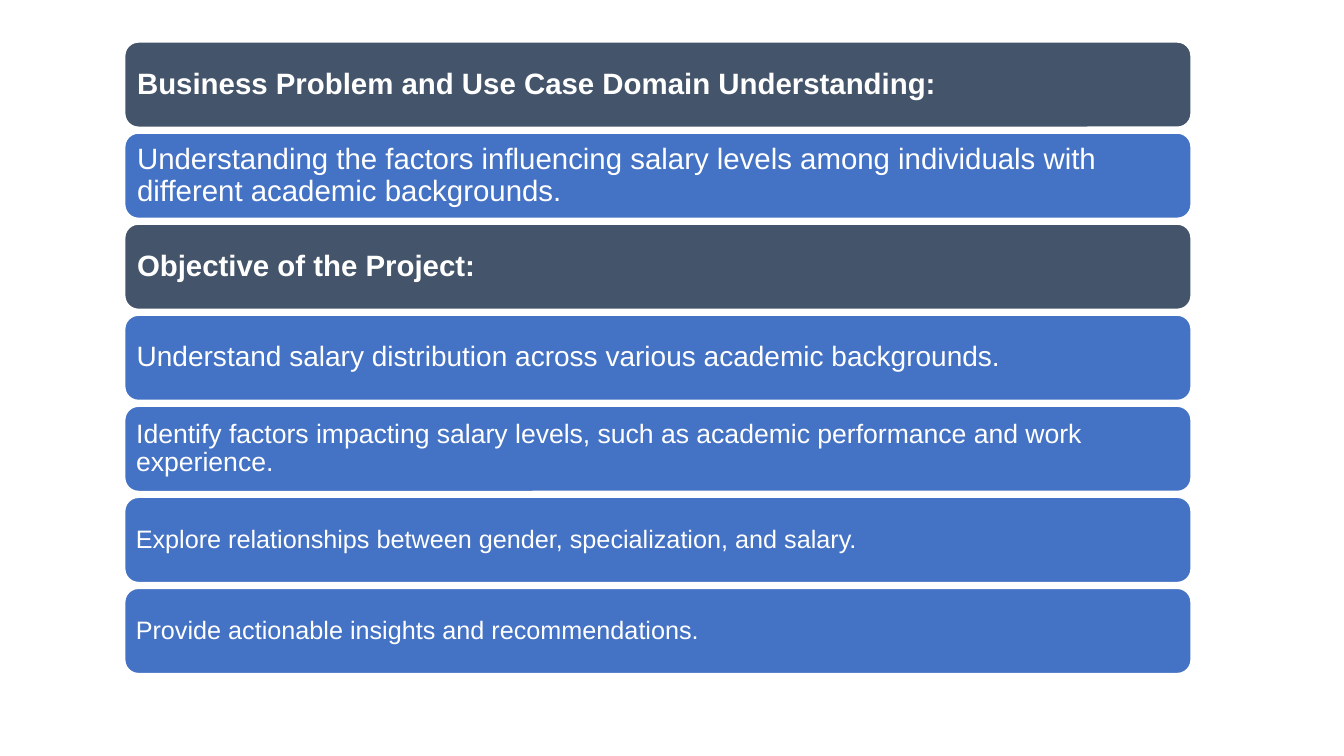
import pptx
import pptx.dml.color
import pptx.enum.shapes
import pptx.enum.text
import pptx.util
from pptx.util import Inches

HEADING_FILL = "44546A"
DETAIL_FILL = "4472C4"
WHITE = "FFFFFF"

# Text, font size in points, whether the bar is a heading
BARS = [
    ("Business Problem and Use Case Domain Understanding:", 21, True),
    ("Understanding the factors influencing salary levels among individuals "
     "with different academic backgrounds.", 21, False),
    ("Objective of the Project:", 21, True),
    ("Understand salary distribution across various academic backgrounds.", 20, False),
    ("Identify factors impacting salary levels, such as academic performance "
     "and work experience.", 19, False),
    ("Explore relationships between gender, specialization, and salary.", 18, False),
    ("Provide actionable insights and recommendations.", 18, False),
]


def color(hex_value):
    return pptx.dml.color.RGBColor.from_string(hex_value)


def add_bar(slide, left, top, width, height, text, size, is_heading):
    """Draw one rounded bar with its text."""
    shape = slide.shapes.add_shape(
        pptx.enum.shapes.MSO_SHAPE.ROUNDED_RECTANGLE, left, top, width, height)
    shape.shadow.inherit = False
    shape.fill.solid()
    shape.fill.fore_color.rgb = color(HEADING_FILL if is_heading else DETAIL_FILL)
    shape.line.color.rgb = color(WHITE)
    shape.line.width = pptx.util.Pt(2)

    # Side margins grow with the font size
    frame = shape.text_frame
    frame.word_wrap = True
    frame.vertical_anchor = pptx.enum.text.MSO_ANCHOR.MIDDLE
    frame.margin_left = frame.margin_right = pptx.util.Pt(0.3 * size)
    frame.margin_top = frame.margin_bottom = Inches(0.04)

    paragraph = frame.paragraphs[0]
    paragraph.text = text
    paragraph.alignment = pptx.enum.text.PP_ALIGN.LEFT
    paragraph.line_spacing = 0.9
    paragraph.font.name = "Arial"
    paragraph.font.size = pptx.util.Pt(size)
    paragraph.font.bold = is_heading
    paragraph.font.color.rgb = color(WHITE)


def add_bar_list(slide, left, top, width, height, bars):
    """Stack the bars evenly so that they fill the given box."""
    bar_height = Inches(0.86)
    pitch = (height - bar_height) / (len(bars) - 1)
    for index, (text, size, is_heading) in enumerate(bars):
        add_bar(slide, left, top + round(index * pitch), width, bar_height,
                text, size, is_heading)


def main():
    presentation = pptx.Presentation()
    presentation.slide_width = Inches(13.33)
    presentation.slide_height = Inches(7.5)
    blank_layout = presentation.slide_layouts[6]
    slide = presentation.slides.add_slide(blank_layout)
    add_bar_list(slide, Inches(1.23), Inches(0.41), Inches(10.59), Inches(6.28), BARS)
    presentation.save("out.pptx")


if __name__ == "__main__":
    main()
